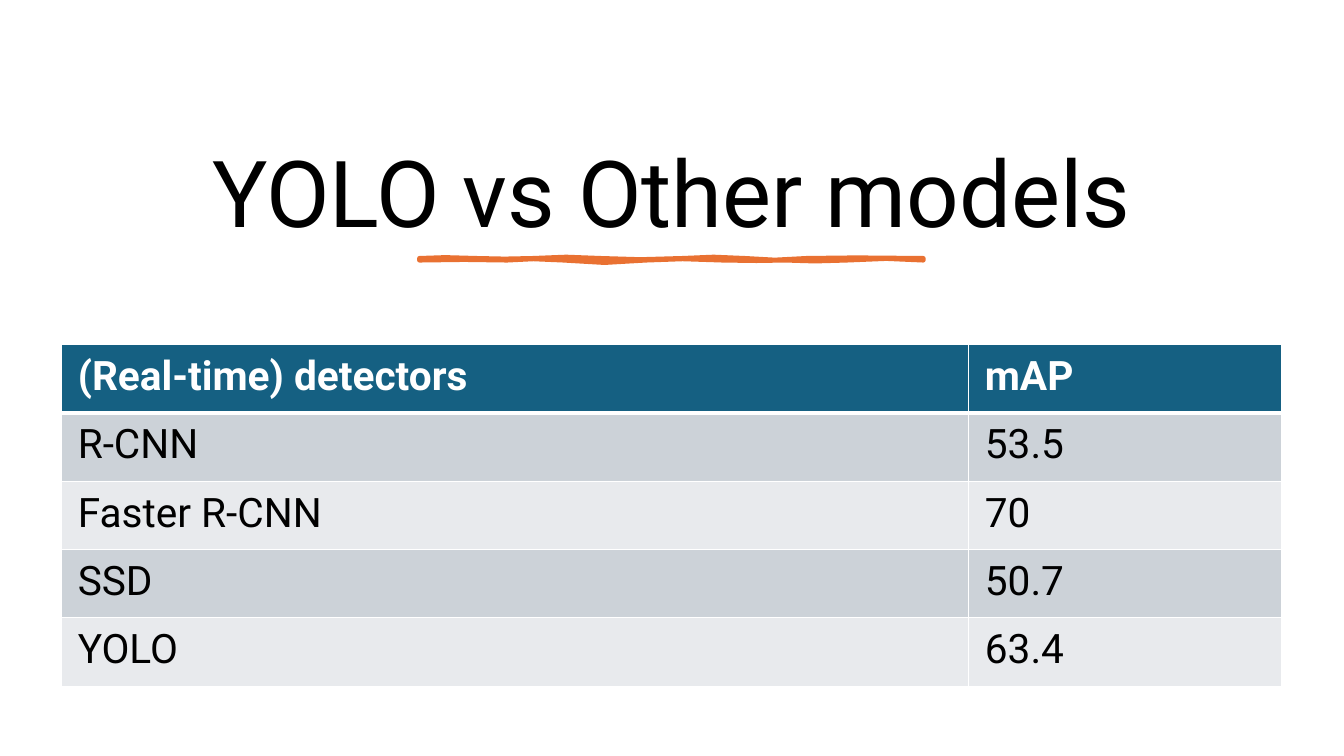
from dataclasses import dataclass

import lxml.etree
import pptx
import pptx.dml.color
import pptx.enum.text
import pptx.oxml
import pptx.oxml.ns
import pptx.slide
import pptx.table
import pptx.text.text
import pptx.util
from pptx.util import Cm

FONT = "Roboto"
COLOURS = {
    "text": "000000",
    "white": "FFFFFF",
    "header": "156082",
    "odd_row": "CCD2D8",
    "even_row": "E8EAED",
    "underline": "E97132",
}
Point = tuple[float, float]


@dataclass(frozen=True)
class Detector:
    name: str
    precision: str


HEADER = Detector("(Real-time) detectors", "mAP")
DETECTORS = [
    Detector("R-CNN", "53.5"),
    Detector("Faster R-CNN", "70"),
    Detector("SSD", "50.7"),
    Detector("YOLO", "63.4"),
]

# Edges of the brush stroke in cm: a start, then two controls and an end per curve.
UPPER_EDGE: list[Point] = [
    (10.57, 6.51),
    (10.87, 6.45), (11.53, 6.51), (12.01, 6.51),
    (12.5, 6.51), (12.93, 6.55), (13.44, 6.51),
    (13.94, 6.48), (14.58, 6.45), (15.14, 6.51),
    (15.67, 6.55), (16.59, 6.55), (17.2, 6.51),
    (17.83, 6.45), (18.14, 6.48), (18.77, 6.51),
    (19.38, 6.55), (19.66, 6.58), (20.32, 6.51),
    (20.98, 6.43), (22.02, 6.55), (23.27, 6.51),
]
LOWER_EDGE: list[Point] = [
    (23.27, 6.56),
    (22.73, 6.53), (21.97, 6.48), (21.34, 6.56),
    (20.7, 6.65), (20.35, 6.53), (19.79, 6.56),
    (19.2, 6.6), (18.97, 6.55), (18.21, 6.56),
    (17.45, 6.55), (16.94, 6.48), (16.28, 6.56),
    (15.6, 6.65), (14.86, 6.63), (14.2, 6.56),
    (13.56, 6.48), (13.28, 6.55), (12.78, 6.56),
    (12.27, 6.55), (11.13, 6.53), (10.57, 6.56),
]


def colour(name: str) -> pptx.dml.color.RGBColor:
    return pptx.dml.color.RGBColor.from_string(COLOURS[name])


def sample_curves(edge: list[Point], steps: int = 2) -> list[Point]:
    """Return points along a chain of cubic Bézier curves."""
    points = [edge[0]]
    for first in range(0, len(edge) - 1, 3):
        controls = edge[first:first + 4]
        for step in range(1, steps + 1):
            t = step / steps
            weights = ((1 - t) ** 3, 3 * t * (1 - t) ** 2, 3 * t**2 * (1 - t), t**3)
            x, y = (
                sum(weight * control[axis] for weight, control in zip(weights, controls))
                for axis in (0, 1)
            )
            points.append((x, y))
    return points


def style_paragraph(frame: pptx.text.text.TextFrame, size: float, ink: str, bold: bool = False) -> None:
    font = frame.paragraphs[0].font
    font.name = FONT
    font.size = pptx.util.Pt(size)
    font.bold = bold
    font.color.rgb = colour(ink)


def add_title(page: pptx.slide.Slide) -> None:
    title = page.shapes.title
    title.left, title.top, title.width, title.height = Cm(1.78), Cm(1.28), Cm(30.3), Cm(5.08)
    frame = title.text_frame
    frame.text = "YOLO vs Other models"
    frame.word_wrap = True
    frame.vertical_anchor = pptx.enum.text.MSO_ANCHOR.BOTTOM
    frame.paragraphs[0].alignment = pptx.enum.text.PP_ALIGN.CENTER
    frame.paragraphs[0].line_spacing = 0.9
    style_paragraph(frame, 66, "text")


def add_underline(page: pptx.slide.Slide) -> None:
    outline = [
        (Cm(x), Cm(y)) for x, y in sample_curves(UPPER_EDGE) + sample_curves(LOWER_EDGE)
    ]
    builder = page.shapes.build_freeform(*outline[0])
    builder.add_line_segments(outline[1:], close=True)
    underline = builder.convert_to_shape()
    underline.shadow.inherit = False
    underline.fill.solid()
    underline.fill.fore_color.rgb = colour("underline")
    underline.line.color.rgb = colour("underline")
    underline.line.width = pptx.util.Pt(3.25)
    line = underline.element.spPr.find(pptx.oxml.ns.qn("a:ln"))
    lxml.etree.SubElement(line, pptx.oxml.ns.qn("a:round"))


def add_borders(cell: pptx.table._Cell, top: float, bottom: float) -> None:
    """Draw white borders; top and bottom are widths in points."""
    properties = cell._tc.get_or_add_tcPr()
    for side, width in (("L", 1), ("R", 1), ("T", top), ("B", bottom)):
        properties.append(pptx.oxml.parse_xml(
            f'<a:ln{side} {pptx.oxml.ns.nsdecls("a")} w="{pptx.util.Pt(width)}">'
            f'<a:solidFill><a:srgbClr val="{COLOURS["white"]}"/></a:solidFill></a:ln{side}>'
        ))


def fill_cell(cell: pptx.table._Cell, text: str, row: int) -> None:
    is_header = row == 0
    add_borders(cell, top=3 if row == 1 else 1, bottom=3 if is_header else 1)
    cell.fill.solid()
    cell.fill.fore_color.rgb = colour(
        "header" if is_header else "odd_row" if row % 2 else "even_row"
    )
    cell.margin_left = cell.margin_right = Cm(0.41)
    cell.margin_top = cell.margin_bottom = Cm(0.2)
    cell.text = text
    style_paragraph(cell.text_frame, 29, "white" if is_header else "text", is_header)


def add_detector_table(page: pptx.slide.Slide) -> None:
    rows = [HEADER, *DETECTORS]
    widths = (22.86, 7.89)
    row_height = 1.72
    table = page.shapes.add_table(
        len(rows), len(widths), Cm(1.55), Cm(8.69), Cm(sum(widths)), Cm(row_height * len(rows))
    ).table
    for column, width in zip(table.columns, widths):
        column.width = Cm(width)
    for index, detector in enumerate(rows):
        table.rows[index].height = Cm(row_height)
        fill_cell(table.cell(index, 0), detector.name, index)
        fill_cell(table.cell(index, 1), detector.precision, index)


def main() -> None:
    deck = pptx.Presentation()
    deck.slide_width, deck.slide_height = Cm(33.87), Cm(19.05)
    page = deck.slides.add_slide(deck.slide_layouts.get_by_name("Title Only"))
    page.background.fill.solid()
    page.background.fill.fore_color.rgb = colour("white")
    add_title(page)
    add_underline(page)
    add_detector_table(page)
    deck.save("out.pptx")


if __name__ == "__main__":
    main()
